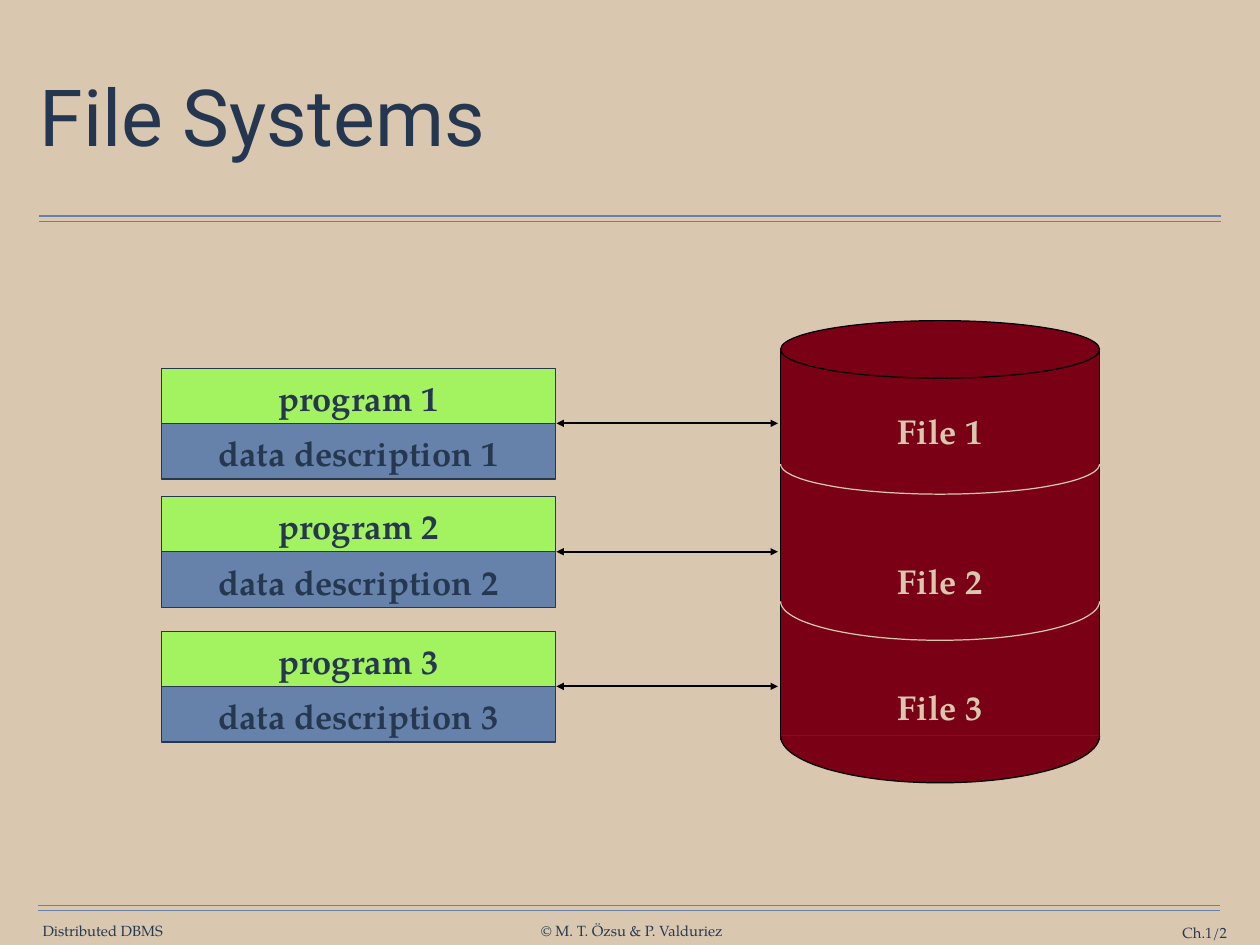
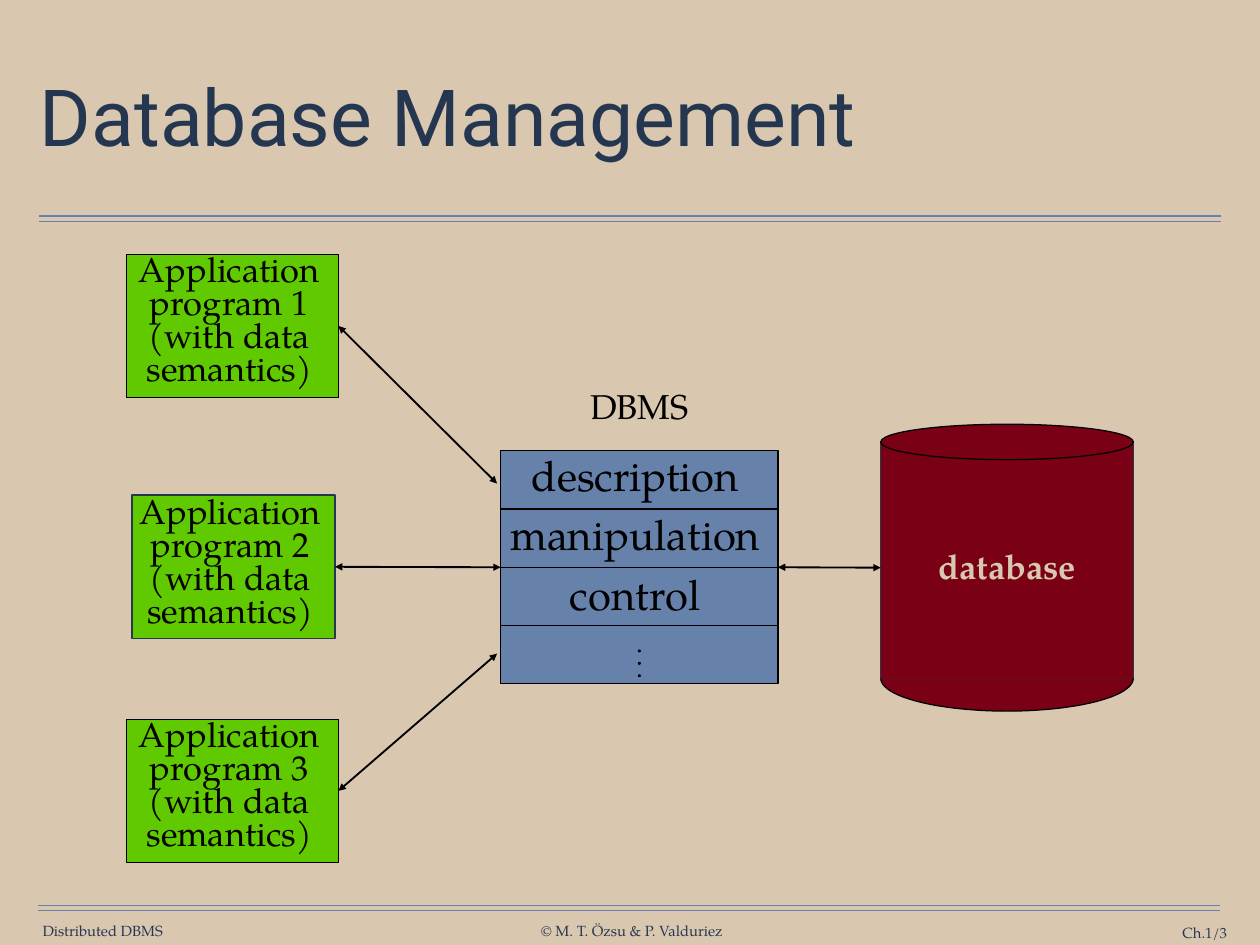
import math
import pptx
import pptx.util
import pptx.dml.color
import pptx.enum.shapes
import pptx.enum.text
import pptx.oxml.ns
import lxml.etree as etree

# Shared look; lengths are counted in one-inch grid cells
WIDE, HIGH = 14.22, 10.67
SAND, NAVY, BLUE, WINE, BLACK = "D9C8AF", "263750", "6682AA", "790015", "000000"
LIME, GREEN, INK = "A3F25F", "60C900", "253750"
SERIF, SANS = "TeX Gyre Pagella", "Roboto"
KIND = pptx.enum.shapes.MSO_SHAPE
ANCHOR = pptx.enum.text.MSO_ANCHOR
ALIGN = pptx.enum.text.PP_ALIGN
LEFT, RIGHT = 1, 3


def unit(n):
    return pptx.util.Inches(round(n, 3))


def tint(code):
    return pptx.dml.color.RGBColor.from_string(code)


def paint(shape, fill, edge):
    shape.shadow.inherit = False
    shape.fill.solid()
    shape.fill.fore_color.rgb = tint(fill)
    shape.line.color.rgb = tint(edge)
    shape.line.width = pptx.util.Pt(1)
    return shape


def block(slide, box, fill, edge=NAVY, kind=KIND.RECTANGLE):
    return paint(slide.shapes.add_shape(kind, *map(unit, box)), fill, edge)


def write(shape, lines, size, color, bold=False, font=SERIF, align=ALIGN.CENTER,
          gap=None, inset=(0.1, 0.05, 0.1, 0.05), anchor=ANCHOR.TOP, wrap=False):
    frame = shape.text_frame
    frame.auto_size = pptx.enum.text.MSO_AUTO_SIZE.NONE
    frame.word_wrap = wrap
    frame.vertical_anchor = anchor
    (frame.margin_left, frame.margin_top,
     frame.margin_right, frame.margin_bottom) = map(unit, inset)
    for i, line in enumerate(lines):
        para = frame.add_paragraph() if i else frame.paragraphs[0]
        para.alignment = align
        if gap:
            para.line_spacing = gap
        run = para.add_run()
        run.text = line
        run.font.name, run.font.size = font, pptx.util.Pt(size)
        run.font.bold = bold
        run.font.color.rgb = tint(color)


def label(slide, box, text, size, color, **style):
    write(slide.shapes.add_textbox(*map(unit, box)), [text], size, color, **style)


def rule(slide, start, end, color=BLACK, width=1):
    line = slide.shapes.add_connector(
        pptx.enum.shapes.MSO_CONNECTOR.STRAIGHT, *map(unit, start + end))
    line.line.color.rgb = tint(color)
    line.line.width = pptx.util.Pt(width)
    etree.SubElement(line._element.spPr, pptx.oxml.ns.qn("a:effectLst"))
    return line


def arrow(slide, start, end):
    line = rule(slide, start, end, width=1.5)
    for tag in ("a:headEnd", "a:tailEnd"):
        tip = etree.SubElement(line.line._get_or_add_ln(), pptx.oxml.ns.qn(tag))
        tip.set("type", "triangle")
    return line


def bowl(slide, box, edge):
    """Lower half of an ellipse, open along its top."""
    left, top, wide, deep = box
    steps = 48
    pts = []
    for i in range(steps + 1):
        turn = math.pi * i / steps
        pts.append((unit(left + wide * (1 - math.cos(turn)) / 2),
                    unit(top + deep * math.sin(turn))))
    path = slide.shapes.build_freeform(*pts[0])
    path.add_line_segments(pts[1:], close=False)
    paint(path.convert_to_shape(), WINE, edge)


def drum(slide, box, lid, dip):
    """Cylinder: body, lid and rounded foot."""
    left, top, wide, high = box
    start, foot = top + lid / 2, top + high - dip
    block(slide, (left, start, wide, foot - start), WINE)
    block(slide, (left, top, wide, lid), WINE, BLACK, KIND.OVAL)
    bowl(slide, (left, foot, wide, dip), BLACK)


def base(deck, title, page):
    """Title, double rules and footer."""
    slide = deck.slides.add_slide(deck.slide_layouts[5])
    head = slide.shapes.title
    head.left, head.top, head.width, head.height = map(unit, (0.39, 0.49, 13.44, 1.76))
    write(head, [title], 64, INK, font=SANS, align=ALIGN.LEFT, gap=0.9,
          inset=(0.06,) * 4, anchor=ANCHOR.MIDDLE, wrap=True)
    for left, top in ((0.44, 2.44), (0.43, 10.22)):
        for y in (top, top + 0.06):
            rule(slide, (left, y), (left + 13.34, y), BLUE)
    for box, text, align in (
            ((0.47, 10.41, 1.38, 0.2), "Distributed DBMS", ALIGN.CENTER),
            ((6.09, 10.41, 2.08, 0.2), "© M. T. Özsu & P. Valduriez", ALIGN.CENTER),
            ((12.31, 10.43, 1.54, 0.2), f"Ch.1/{page}", ALIGN.RIGHT)):
        label(slide, box, text, 12, NAVY, align=align, inset=(0,) * 4,
              anchor=ANCHOR.MIDDLE, wrap=align == ALIGN.RIGHT)
    return slide


def pair(slide, box, num):
    """Program above its data description, with an arrow to the file."""
    left, top, wide, row = box
    for i, (name, fill, gap, pad) in enumerate((
            ("program", LIME, 1.1, 0.05), ("data description", BLUE, None, 0.1))):
        cell = block(slide, (left, top + i * (row - 0.01), wide, row), fill)
        write(cell, [f"{name} {num}"], 28, NAVY, bold=True, gap=gap,
              inset=(0.1, pad, 0.1, 0))
    y = top + row - 0.01
    arrow(slide, (left + wide + 0.01, y), (left + wide + 2.51, y))


def store(slide, box):
    """Drum split into three files."""
    left, top, wide, high = box
    drum(slide, box, 0.65, 0.53)
    for x in (left, left + wide):
        rule(slide, (x, top + 0.34), (x, top + high - 0.48))
    for y, dip in ((1.62, 0.34), (3.17, 0.44)):
        bowl(slide, (left, top + y, wide, dip), SAND)
    for i, y in enumerate((0.96, 2.66, 4.08)):
        label(slide, (left, top + y, wide, 0.57), f"File {i + 1}", 28, SAND, bold=True)


def app(slide, box, num, edge, pad):
    cell = block(slide, box, GREEN, edge)
    lines = ["Application", f"program {num}", "(with data", "semantics)"]
    write(cell, lines, 28, BLACK, gap=0.8, inset=(0.02, pad, 0.1, 0))
    return cell


def engine(slide, box):
    """DBMS box with its rows of functions."""
    left, top, wide, high = box
    row = high / 4
    label(slide, (left, top - 0.79, wide, 0.57), "DBMS", 28, BLACK)
    body = block(slide, box, BLUE, BLACK)
    for i, name in enumerate(("description", "manipulation", "control")):
        y = top + (i + 1) * row
        rule(slide, (left, y), (left + wide, y))
        label(slide, (left, top - 0.06 + i * 0.67, wide - 0.09, 0.67), name, 34, BLACK)
    for i in range(3):
        block(slide, (left + wide / 2 - 0.01, top + 2.25 + i * 0.14, 0.02, 0.02),
              BLACK, BLACK, KIND.OVAL)
    return body


def files(deck):
    slide = base(deck, "File Systems", 2)
    for i, top in enumerate((4.16, 5.61, 7.13)):
        pair(slide, (1.82, top, 4.45, 0.63), i + 1)
    store(slide, (8.81, 3.62, 3.6, 5.22))


def data(deck):
    slide = base(deck, "Database Management", 3)
    # Database
    left, top, wide, high = tank = (9.94, 4.79, 2.85, 3.24)
    drum(slide, tank, 0.4, 0.37)
    label(slide, (left, top + 1.31, wide, 0.57), "database", 28, SAND, bold=True)
    # DBMS and applications
    body = engine(slide, (5.65, 5.09, 3.13, 2.63))
    mid = 6.41
    for i, (box, edge, pad, y) in enumerate((
            ((1.43, 2.87, 2.39, 1.62), BLACK, 0.02, 5.46),
            ((1.49, 5.59, 2.29, 1.62), NAVY, 0.03, mid),
            ((1.43, 8.12, 2.39, 1.62), BLACK, 0.02, 7.38))):
        cell = app(slide, box, i + 1, edge, pad)
        link = arrow(slide, (box[0] + box[2], box[1] + box[3] / 2), (5.61, y))
        link.begin_connect(cell, RIGHT)
        if y == mid:
            link.end_connect(body, LEFT)
    arrow(slide, (8.78, mid), (left, mid)).begin_connect(body, RIGHT)


def main():
    deck = pptx.Presentation()
    deck.slide_width, deck.slide_height = unit(WIDE), unit(HIGH)
    back = deck.slide_master.background.fill
    back.solid()
    back.fore_color.rgb = tint(SAND)
    files(deck)
    data(deck)
    deck.save("out.pptx")


if __name__ == "__main__":
    main()
